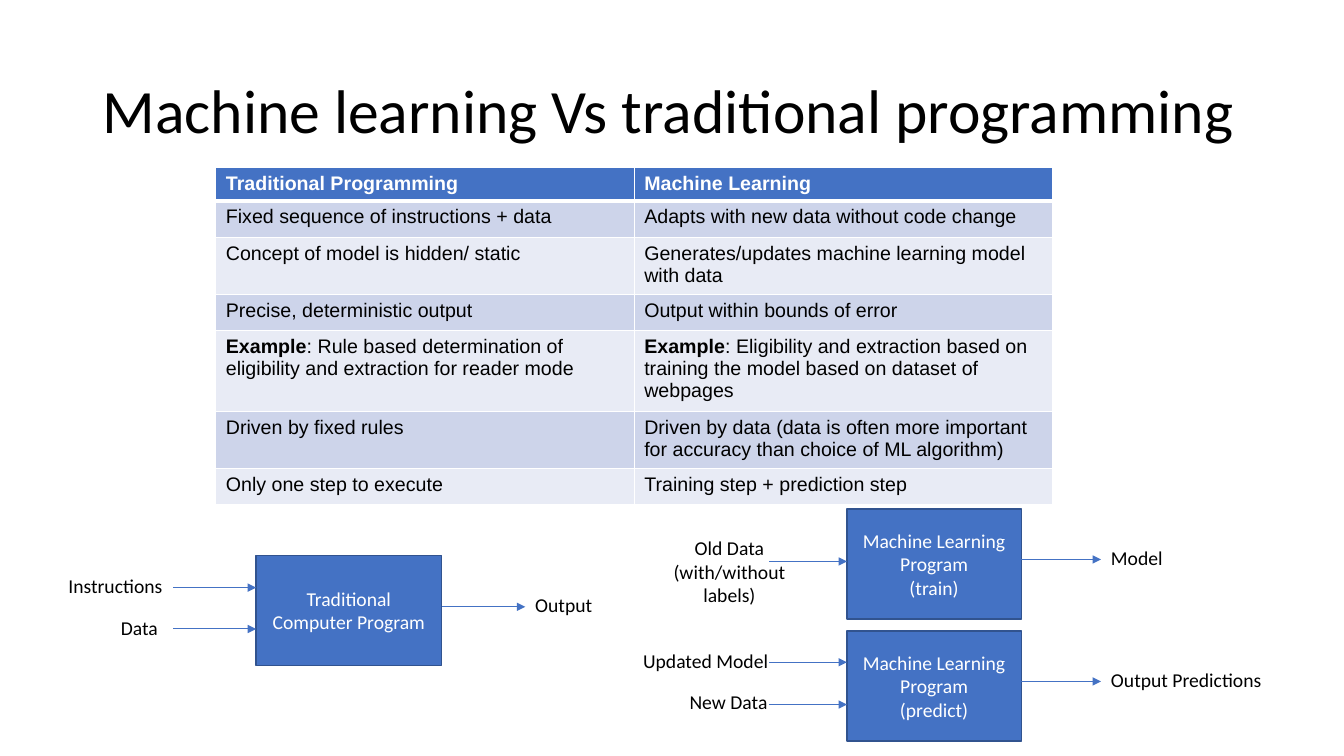
from dataclasses import dataclass

from lxml import etree
from pptx import Presentation
from pptx import util as u
from pptx.dml.color import RGBColor
from pptx.enum import shapes, text
from pptx.oxml import ns


@dataclass(frozen=True)
class Theme:
    accent: str = "4472C4"
    outline: str = "31538F"
    dark_band: str = "CDD4EA"
    light_band: str = "E8EBF5"
    ink: str = "000000"
    paper: str = "FFFFFF"
    body_font: str = "Calibri"
    table_font: str = "Arial"
    title_size: int = 44
    body_size: int = 14


def apply(target, values):
    for name, value in values.items():
        setattr(target, name, value)


class SlideBuilder:
    def __init__(self, slide, theme):
        self.slide = slide
        self.theme = theme

    def fill_text(self, frame, lines, color, size=None, font=None, bold=False,
                  align=text.PP_ALIGN.LEFT):
        """Each line is a list of (words, bold) pairs or a plain string."""
        for i, line in enumerate(lines):
            paragraph = frame.paragraphs[0] if i == 0 else frame.add_paragraph()
            paragraph.alignment = align
            for words, strong in [(line, bold)] if isinstance(line, str) else line:
                run = paragraph.add_run()
                run.text = words
                apply(run.font, {
                    "name": font or self.theme.body_font,
                    "size": u.Pt(size or self.theme.body_size),
                    "bold": strong,
                })
                run.font.color.rgb = RGBColor.from_string(color)

    def title(self, words, box):
        frame = self.slide.shapes.add_textbox(*map(u.Inches, box)).text_frame
        apply(frame, {"word_wrap": True, "vertical_anchor": text.MSO_ANCHOR.MIDDLE})
        self.fill_text(frame, [words], self.theme.ink, self.theme.title_size)
        frame.paragraphs[0].line_spacing = 0.9

    def label(self, lines, box, align=text.PP_ALIGN.LEFT):
        frame = self.slide.shapes.add_textbox(*map(u.Inches, box)).text_frame
        frame.word_wrap = False
        self.fill_text(frame, lines, self.theme.ink, align=align)

    def program(self, lines, box):
        block = self.slide.shapes.add_shape(
            shapes.MSO_SHAPE.RECTANGLE, *map(u.Inches, box))
        block.shadow.inherit = False
        block.fill.solid()
        block.fill.fore_color.rgb = RGBColor.from_string(self.theme.accent)
        block.line.color.rgb = RGBColor.from_string(self.theme.outline)
        block.line.width = u.Pt(1)
        apply(block.text_frame, {"word_wrap": True,
                                 "vertical_anchor": text.MSO_ANCHOR.MIDDLE})
        self.fill_text(block.text_frame, lines, self.theme.paper,
                       align=text.PP_ALIGN.CENTER)

    def arrow(self, left, right, y):
        arrow = self.slide.shapes.add_connector(
            shapes.MSO_CONNECTOR.STRAIGHT, *map(u.Inches, (left, y, right, y)))
        arrow.line.color.rgb = RGBColor.from_string(self.theme.accent)
        arrow.line.width = u.Pt(0.75)
        outline = arrow._element.spPr.find(ns.qn("a:ln"))
        etree.SubElement(outline, ns.qn("a:tailEnd"), type="triangle")
        etree.SubElement(arrow._element.spPr, ns.qn("a:effectLst"))

    def borders(self, cell, widths):
        properties = cell._tc.get_or_add_tcPr()
        for side, width in widths.items():
            edge = etree.SubElement(properties, ns.qn(f"a:ln{side}"),
                                    w=str(u.Pt(width)))
            fill = etree.SubElement(edge, ns.qn("a:solidFill"))
            etree.SubElement(fill, ns.qn("a:srgbClr"), val=self.theme.paper)

    def table(self, rows, left, top, column_width, heights):
        columns = len(rows[0])
        table = self.slide.shapes.add_table(
            len(rows), columns, u.Inches(left), u.Inches(top),
            u.Inches(column_width * columns), u.Inches(sum(heights))).table
        for column in table.columns:
            column.width = u.Inches(column_width)
        bands = (self.theme.light_band, self.theme.dark_band)
        for r, (row, height) in enumerate(zip(rows, heights)):
            table.rows[r].height = u.Inches(height)
            header = r == 0
            for c, words in enumerate(row):
                cell = table.cell(r, c)
                # The rule below the header is heavier
                self.borders(cell, {"L": 1, "R": 1, "T": 3 if r == 1 else 1,
                                    "B": 3 if header else 1})
                cell.fill.solid()
                cell.fill.fore_color.rgb = RGBColor.from_string(
                    self.theme.accent if header else bands[r % 2])
                self.fill_text(cell.text_frame, [words],
                               self.theme.paper if header else self.theme.ink,
                               font=self.theme.table_font, bold=header)


COMPARISON = [
    ("Traditional Programming", "Machine Learning"),
    ("Fixed sequence of instructions + data",
     "Adapts with new data without code change"),
    ("Concept of model is hidden/ static",
     "Generates/updates machine learning model with data"),
    ("Precise, deterministic output", "Output within bounds of error"),
    ([("Example", True), (": Rule based determination of eligibility and "
                          "extraction for reader mode", False)],
     [("Example", True), (": Eligibility and extraction based on training the "
                          "model based on dataset of webpages", False)]),
    ("Driven by fixed rules",
     "Driven by data (data is often more important for accuracy than choice "
     "of ML algorithm)"),
    ("Only one step to execute", "Training step + prediction step"),
]
ROW_HEIGHTS = [0.31, 0.36, 0.54, 0.36, 0.76, 0.54, 0.36]


def main():
    deck = Presentation()
    apply(deck, {"slide_width": u.Inches(13.33), "slide_height": u.Inches(7.5)})
    page = SlideBuilder(deck.slides.add_slide(deck.slide_layouts[6]), Theme())

    # Title and comparison
    page.title("Machine learning Vs traditional programming",
               (0.92, 0.4, 11.5, 1.45))
    page.table(COMPARISON, 2.14, 1.66, 4.15, ROW_HEIGHTS)

    # Programs: traditional, training, prediction
    page.program(["Traditional Computer Program"], (2.54, 5.51, 1.84, 1.09))
    for step, top in (("(train)", 5.05), ("(predict)", 6.26)):
        page.program(["Machine Learning", "Program", step],
                     (8.4, top, 1.73, 1.09))

    # Flows into and out of each program
    for left, right, levels in (
        (1.72, 2.54, (5.83, 6.24)),
        (4.38, 5.21, (6.02,)),
        (7.63, 8.4, (5.57, 6.57, 6.99)),
        (10.13, 10.92, (5.55, 6.76)),
    ):
        for y in levels:
            page.arrow(left, right, y)

    # Inputs and outputs
    for words, box in (
        ("Instructions", (0.58, 5.64, 1.14, 0.34)),
        ("Data", (1.1, 6.06, 0.57, 0.34)),
        ("Output", (5.21, 5.83, 0.77, 0.34)),
        ("Model", (10.92, 5.37, 0.72, 0.34)),
        ("Updated Model", (6.28, 6.39, 1.46, 0.34)),
        ("New Data", (6.74, 6.8, 0.98, 0.34)),
        ("Output Predictions", (10.92, 6.58, 1.71, 0.34)),
    ):
        page.label([words], box)
    page.label(["Old Data", "(with/without", "labels)"],
               (6.55, 5.27, 1.37, 0.81), text.PP_ALIGN.CENTER)

    deck.save("out.pptx")


if __name__ == "__main__":
    main()
